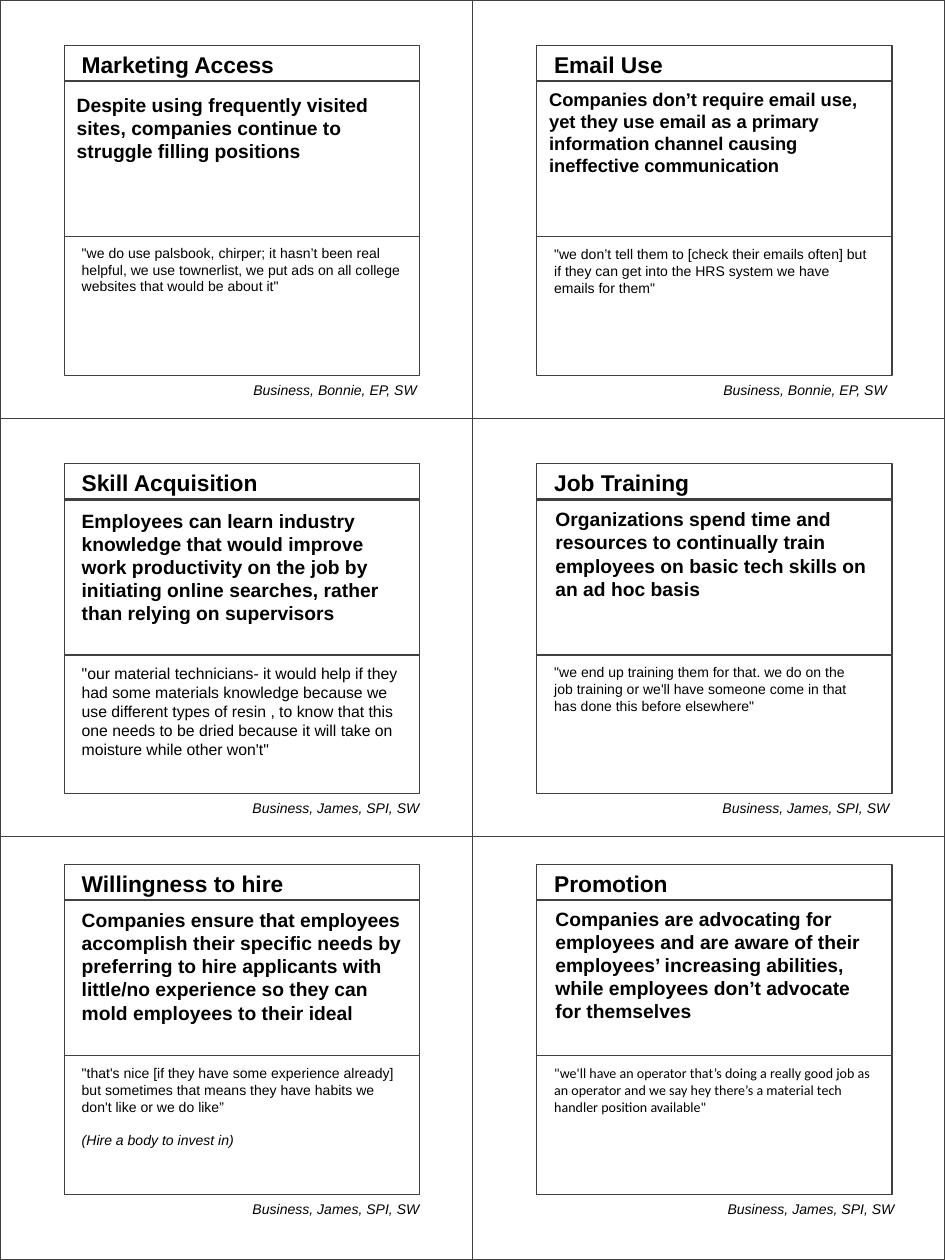
from dataclasses import dataclass

import pptx
import pptx.dml.color
import pptx.enum.shapes
import pptx.enum.text
import pptx.slide
import pptx.text.text
import pptx.util

COLOURS = {"line": "404040", "text": "000000"}
PAGE_WIDTH, PAGE_HEIGHT = 7.5, 10
COLUMNS = 2
CELL_WIDTH = PAGE_WIDTH / COLUMNS
ROW_TOPS = (0, 3.32, 6.64, PAGE_HEIGHT)
FRAME_TOPS = (0.36, 3.68, 6.86)
FRAME_LEFT, FRAME_WIDTH = 0.51, 2.82
PANELS = ((0, 0.29), (0.28, 1.24), (1.52, 1.1))  # top within the frame, height
TITLE_LEFT = 0.55
SOURCE_WIDTH = 3.08
BONNIE = "Business, Bonnie, EP, SW"
JAMES = "Business, James, SPI, SW"


@dataclass(frozen=True)
class Passage:
    """Text placed from the left of its cell and the top of its frame."""
    text: str
    left: float
    top: float
    width: float
    height: float
    size: float
    bold: bool = False
    italic: bool = False
    font: str = "Arial"
    wrap: bool = True
    right: bool = False
    remark: str = ""


@dataclass(frozen=True)
class Card:
    title: str
    title_width: float
    finding: Passage
    quote: Passage
    source: str
    source_left: float


def finding(text: str, left: float, top: float, width: float,
            height: float, size: float = 11) -> Passage:
    return Passage(text, left, top, width, height, size, bold=True)


def quote(text: str, width: float = 2.78, height: float = 0.5, top: float = 1.54,
          size: float = 8, font: str = "Arial", remark: str = "") -> Passage:
    return Passage(text, TITLE_LEFT, top, width, height, size, font=font, remark=remark)


CARDS = (
    Card("Marketing Access", 1.75,
         finding("Despite using frequently visited sites, companies continue to "
                 "struggle filling positions", 0.51, 0.33, 2.82, 0.98),
         quote("\"we do use palsbook, chirper; it hasn’t been real helpful, we use "
               "townerlist, we put ads on all college websites that would be about it\"",
               top=1.53),
         BONNIE, 0.33),
    Card("Email Use", 1.07,
         finding("Companies don’t require email use, yet they use email as a primary "
                 "information channel causing ineffective communication",
                 0.51, 0.29, 2.82, 0.81, 10.5),
         quote("\"we don’t tell them to [check their emails often] but if they can get "
               "into the HRS system we have emails for them\"", 2.7),
         BONNIE, 0.31),
    Card("Skill Acquisition", 1.61,
         finding("Employees can learn industry knowledge that would improve work "
                 "productivity on the job by initiating online searches, rather than "
                 "relying on supervisors", 0.55, 0.31, 2.77, 1.03),
         quote("\"our material technicians- it would help if they had some materials "
               "knowledge because we use different types of resin , to know that this "
               "one needs to be dried because it will take on moisture while other "
               "won't\"", height=0.86, size=9),
         JAMES, 0.35),
    Card("Job Training", 1.29,
         finding("Organizations spend time and resources to continually train employees "
                 "on basic tech skills on an ad hoc basis", 0.56, 0.3, 2.7, 0.84),
         quote("\"we end up training them for that. we do on the job training or we'll "
               "have someone come in that has done this before elsewhere\"", 2.61),
         JAMES, 0.33),
    Card("Willingness to hire", 1.82,
         finding("Companies ensure that employees accomplish their specific needs by "
                 "preferring to hire applicants with little/no experience so they can "
                 "mold employees to their ideal", 0.55, 0.3, 2.78, 1.03),
         quote("\"that's nice [if they have some experience already] but sometimes that "
               "means they have habits we don't like or we do like”", height=0.77,
               remark="(Hire a body to invest in)"),
         JAMES, 0.35),
    Card("Promotion", 1.11,
         finding("Companies are advocating for employees and are aware of their "
                 "employees’ increasing abilities, while employees don’t advocate for "
                 "themselves", 0.56, 0.29, 2.7, 1.03),
         quote("\"we'll have an operator that’s doing a really good job as an operator "
               "and we say hey there’s a material tech handler position available\"",
               font="Calibri"),
         JAMES, 0.37),
)


def add_outline(page: pptx.slide.Slide, left: float, top: float,
                width: float, height: float) -> None:
    box = page.shapes.add_shape(
        pptx.enum.shapes.MSO_SHAPE.RECTANGLE,
        *map(pptx.util.Inches, (left, top, width, height)))
    box.shadow.inherit = False
    box.fill.background()
    box.line.color.rgb = pptx.dml.color.RGBColor.from_string(COLOURS["line"])
    box.line.width = pptx.util.Pt(0.75)


def format_paragraph(para: pptx.text.text._Paragraph, passage: Passage,
                     italic: bool) -> None:
    if passage.right:
        para.alignment = pptx.enum.text.PP_ALIGN.RIGHT
    for span in para.runs:
        span.font.name = passage.font
        span.font.size = pptx.util.Pt(passage.size)
        span.font.bold = passage.bold
        span.font.italic = italic
        span.font.color.rgb = pptx.dml.color.RGBColor.from_string(COLOURS["text"])


def add_passage(page: pptx.slide.Slide, passage: Passage,
                cell_left: float, frame_top: float) -> None:
    box = page.shapes.add_textbox(*map(pptx.util.Inches, (
        cell_left + passage.left, frame_top + passage.top,
        passage.width, passage.height)))
    frame = box.text_frame
    frame.word_wrap = passage.wrap
    frame.auto_size = pptx.enum.text.MSO_AUTO_SIZE.SHAPE_TO_FIT_TEXT
    frame.text = passage.text
    format_paragraph(frame.paragraphs[0], passage, passage.italic)
    if passage.remark:
        para = frame.add_paragraph()
        para.text = passage.remark
        para.space_before = pptx.util.Pt(9.5)
        format_paragraph(para, passage, True)


def add_card(page: pptx.slide.Slide, card: Card, row: int, column: int) -> None:
    left, top = column * CELL_WIDTH, FRAME_TOPS[row]
    add_outline(page, left, ROW_TOPS[row], CELL_WIDTH, ROW_TOPS[row + 1] - ROW_TOPS[row])
    for panel_top, panel_height in PANELS:
        add_outline(page, left + FRAME_LEFT, top + panel_top, FRAME_WIDTH, panel_height)
    title = Passage(card.title, TITLE_LEFT, -0.01, card.title_width, 0.32, 13,
                    bold=True, wrap=False)
    source = Passage(card.source, card.source_left, 2.62, SOURCE_WIDTH, 0.24, 8,
                     italic=True, right=True)
    for passage in (title, card.finding, card.quote, source):
        add_passage(page, passage, left, top)


def main() -> None:
    deck = pptx.Presentation()
    deck.slide_width = pptx.util.Inches(PAGE_WIDTH)
    deck.slide_height = pptx.util.Inches(PAGE_HEIGHT)
    page = deck.slides.add_slide(deck.slide_layouts[6])
    for index, card in enumerate(CARDS):
        add_card(page, card, *divmod(index, COLUMNS))
    deck.save("out.pptx")


if __name__ == "__main__":
    main()
